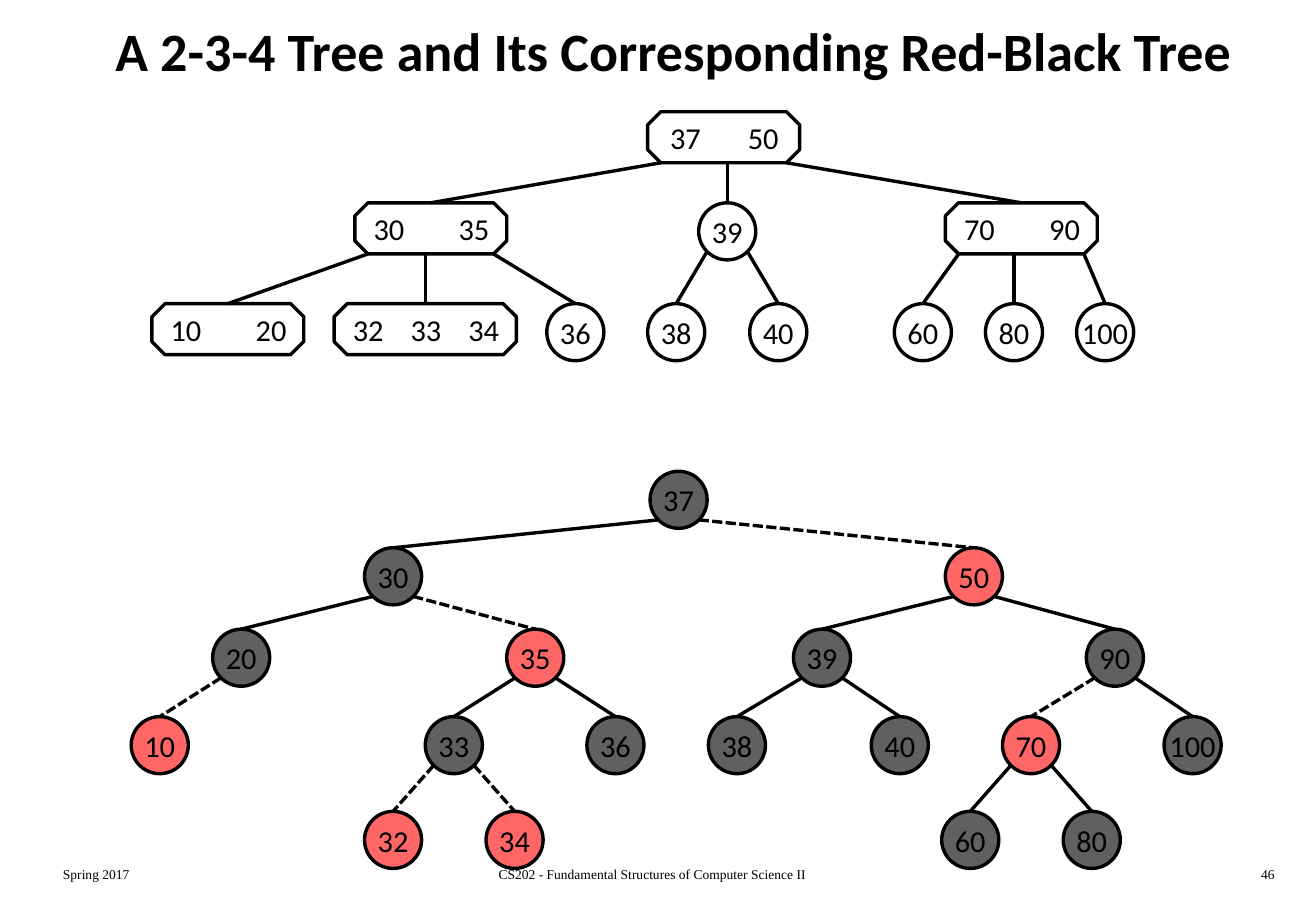
from dataclasses import dataclass

from lxml import etree
from pptx import Presentation
from pptx.dml.color import RGBColor
from pptx.enum import dml, shapes, text
from pptx.oxml import ns
from pptx.util import Inches, Pt

BLACK, GREY, RED, WHITE = "000000", "606060", "FF6666", "FFFFFF"
CIRCLE, BOX_HEIGHT, KEY_WIDTH = 0.47, 0.42, 0.25
TITLE = "A 2-3-4 Tree and Its Corresponding Red-Black Tree"

TWO_THREE_FOUR = [
    ("37 50", 4.08, None, None),
    ("30 35", 1.67, "37 50", None),
    ("39", 4.5, "37 50", WHITE),
    ("70 90", 6.53, "37 50", None),
    ("10 20", 0, "30 35", None),
    ("32 33 34", 1.5, "30 35", None),
    ("36", 3.25, "30 35", WHITE),
    ("38", 4.08, "39", WHITE),
    ("40", 4.92, "39", WHITE),
    ("60", 6.11, "70 90", WHITE),
    ("80", 6.86, "70 90", WHITE),
    ("100", 7.61, "70 90", WHITE),
]
RED_BLACK = [
    ("37", 4.27, None, GREY),
    ("30", 1.92, "37", GREY),
    ("50", 6.7, "37", RED),
    ("20", 0.67, "30", GREY),
    ("35", 3.09, "30", RED),
    ("39", 5.45, "50", GREY),
    ("90", 7.86, "50", GREY),
    ("10", 0, "20", RED),
    ("33", 2.42, "35", GREY),
    ("36", 3.75, "35", GREY),
    ("38", 4.75, "39", GREY),
    ("40", 6.09, "39", GREY),
    ("70", 7.17, "90", RED),
    ("100", 8.5, "90", GREY),
    ("32", 1.92, "33", RED),
    ("34", 2.92, "33", RED),
    ("60", 6.67, "70", GREY),
    ("80", 7.67, "70", GREY),
]


@dataclass
class Node:
    """A tree node with its place on the slide, in inches."""
    keys: list
    left: float
    top: float
    depth: int
    fill: str

    @property
    def width(self):
        """Return the width that the number of keys calls for."""
        return {1: CIRCLE, 2: 1.25, 3: 1.5}[len(self.keys)]

    @property
    def center(self):
        """Return the horizontal centre."""
        return self.left + self.width / 2

    def edge_start(self, child):
        """Return the point of the lower edge nearest to the child."""
        inset, drop = (0.07, 0.4) if len(self.keys) == 1 else (0.11, BOX_HEIGHT)
        low, high = self.left + inset, self.left + self.width - inset
        return min(max(child.center, low), high), self.top + drop


def color(value):
    """Turn a hex string into a colour."""
    return RGBColor.from_string(value)


def write(shape, content, size=18, font="Calibri", bold=False, align="CENTER", anchor="MIDDLE", margin=None):
    """Write one formatted paragraph into a shape and return it."""
    frame = shape.text_frame
    frame.word_wrap = True
    frame.auto_size = text.MSO_AUTO_SIZE.NONE
    frame.vertical_anchor = text.MSO_ANCHOR[anchor]
    if margin is not None:
        frame.margin_left, frame.margin_right = Inches(margin), 0
    paragraph = frame.paragraphs[0]
    paragraph.alignment = text.PP_ALIGN[align]
    run = paragraph.add_run()
    run.text = content
    run.font.name, run.font.size, run.font.bold = font, Pt(size), bold
    run.font.color.rgb = color(BLACK)
    return paragraph


def add_tab_stops(paragraph, pitch, count):
    """Give a paragraph evenly spaced left tab stops."""
    stops = etree.SubElement(paragraph._p.get_or_add_pPr(), ns.qn("a:tabLst"))
    for index in range(1, count + 1):
        etree.SubElement(stops, ns.qn("a:tab"), pos=str(Inches(index * pitch)), algn="l")


def add_edge(slide, parent, child):
    """Join two nodes, with dashes when the child is red."""
    start_x, start_y = parent.edge_start(child)
    edge = slide.shapes.add_connector(
        shapes.MSO_CONNECTOR.STRAIGHT, Inches(start_x), Inches(start_y), Inches(child.center), Inches(child.top))
    edge.line.color.rgb = color(BLACK)
    edge.line.width = Pt(2)
    if child.fill == RED:
        edge.line.dash_style = dml.MSO_LINE.SQUARE_DOT
    etree.SubElement(edge._element.spPr, ns.qn("a:effectLst"))


def add_node(slide, node):
    """Draw a circle for one key or an octagon for several."""
    single = len(node.keys) == 1
    kind = shapes.MSO_SHAPE.OVAL if single else shapes.MSO_SHAPE.OCTAGON
    height = CIRCLE if single else BOX_HEIGHT
    shape = slide.shapes.add_shape(
        kind, Inches(node.left), Inches(node.top), Inches(node.width), Inches(height))
    shape.shadow.inherit = False
    shape.line.color.rgb = color(BLACK)
    shape.line.width = Pt(2)
    if single:
        shape.fill.solid()
        shape.fill.fore_color.rgb = color(node.fill)
        shape.text_frame.margin_right = 0
        write(shape, node.keys[0], margin=0)
        shape.text_frame.word_wrap = False
        return
    shape.fill.background()
    shape.adjustments[0] = 0.257
    inset = 0.18 if node.depth == 0 else 0.15
    gaps = len(node.keys) - 1
    paragraph = write(shape, "\t".join(node.keys), align="LEFT", margin=inset - 0.05)
    add_tab_stops(paragraph, (node.width - 2 * inset - KEY_WIDTH) / gaps, gaps)


def add_tree(slide, left, top, levels, rows):
    """Draw a tree whose offsets are measured from the box corner."""
    nodes = {}
    for name, offset, parent_name, fill in rows:
        parent = nodes.get(parent_name)
        depth = parent.depth + 1 if parent else 0
        node = Node(name.split(), left + offset, top + levels[depth], depth, fill)
        nodes[name] = node
        if parent:
            add_edge(slide, parent, node)
    for node in nodes.values():
        add_node(slide, node)


def add_title(slide, left, top, width, height):
    """Place and fill the title placeholder."""
    title = slide.shapes.title
    title.left, title.top, title.width, title.height = map(Inches, (left, top, width, height))
    write(title, TITLE, size=32, bold=True)


def add_footer(slide, top, height):
    """Write the date, course and slide number along the bottom."""
    for content, left, width, align in [
        ("Spring 2017", 0.42, 2.26, "LEFT"),
        ("CS202 - Fundamental Structures of Computer Science II", 3.34, 4.06, "CENTER"),
        ("46", 8.33, 2.26, "RIGHT"),
    ]:
        box = slide.shapes.add_textbox(Inches(left), Inches(top), Inches(width), Inches(height))
        write(box, content, size=8, font="Times New Roman", align=align, anchor="TOP")


def main():
    """Build the slide and save it."""
    presentation = Presentation()
    presentation.slide_width, presentation.slide_height = Inches(10.83), Inches(7.5)
    slide = presentation.slides.add_slide(presentation.slide_layouts[5])
    add_title(slide, 0.42, 0.08, 10.25, 0.67)
    add_tree(slide, 1.25, 0.92, [0, 0.75, 1.58], TWO_THREE_FOUR)
    add_tree(slide, 1.08, 3.88, [0, 0.63, 1.3, 2.02, 2.8], RED_BLACK)
    add_footer(slide, 7.08, 0.25)
    presentation.save("out.pptx")


if __name__ == "__main__":
    main()
